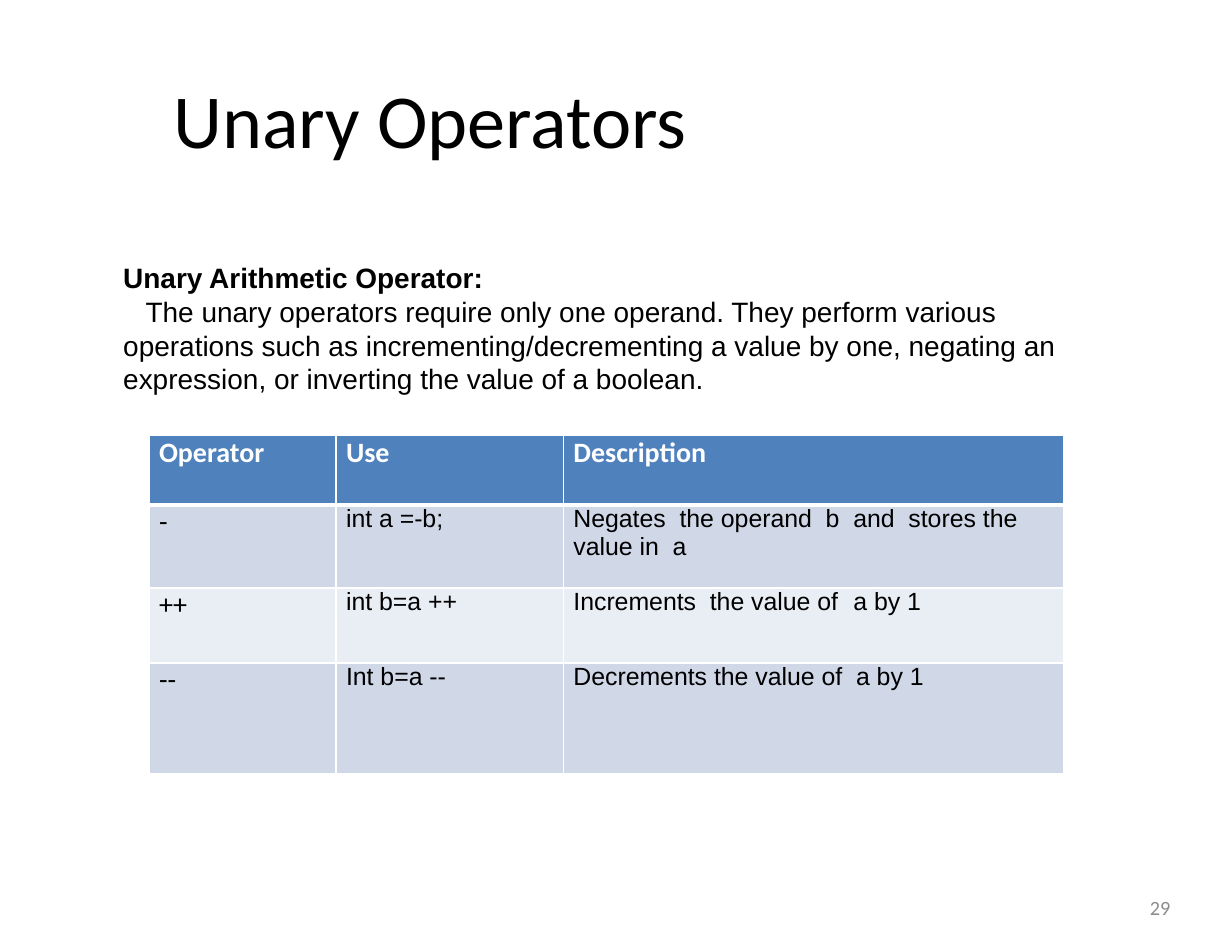
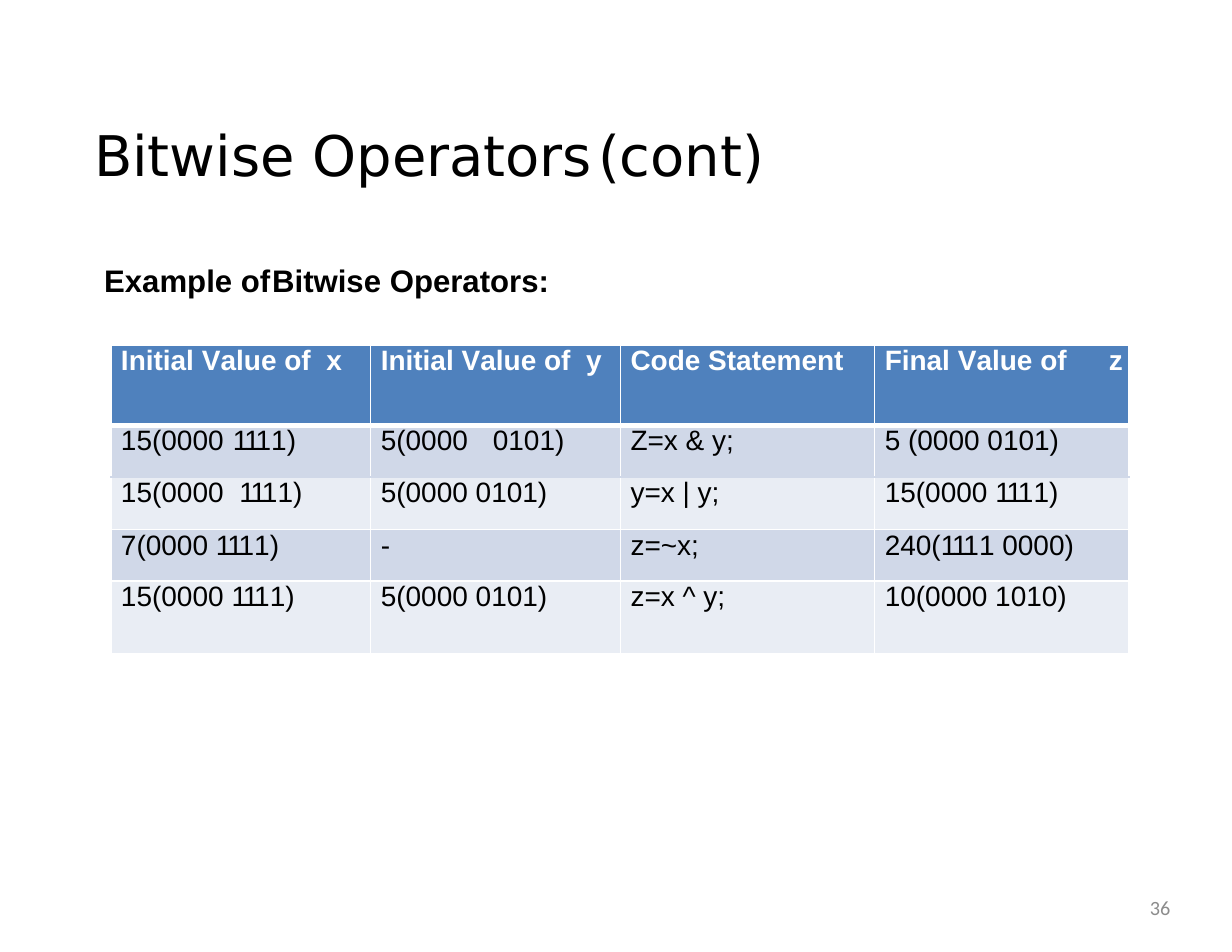
from dataclasses import dataclass

from lxml import etree
from pptx import Presentation
from pptx import util as u
from pptx.dml.color import RGBColor
from pptx.enum import text as t
from pptx.oxml.ns import qn

COLORS = {"ink": "000000", "white": "FFFFFF", "number": "8C8C8C",
          "header": "4F81BD", "odd": "D0D8E8", "even": "E9EDF4"}
KERNING = {"111": -1.4, "V": -1}  # character spacing in points
CELL_INDENT = 0.09


@dataclass(frozen=True)
class Style:
    size: float
    font: str = "Arial"
    color: str = "ink"
    bold: bool = False


@dataclass(frozen=True)
class Para:
    text: str
    style: Style
    indent: float = 0.01
    first: float = 0
    tab: float = 0
    align: t.PP_ALIGN = t.PP_ALIGN.LEFT


@dataclass(frozen=True)
class Box:
    left: float
    top: float
    width: float
    height: float
    paras: tuple[Para, ...]
    anchor: t.MSO_ANCHOR = t.MSO_ANCHOR.TOP


@dataclass(frozen=True)
class Grid:
    left: float
    top: float
    cols: tuple[float, ...]
    rows: tuple[float, ...]
    texts: tuple[tuple[str, ...], ...]
    header: Style
    columns: tuple[Style, ...]
    tabs: dict[tuple[int, int], float]
    rules: dict[int, tuple[str, float]]  # lines below given rows


@dataclass(frozen=True)
class Page:
    number: int
    boxes: tuple[Box, ...]
    grid: Grid


def split_kerned(text: str) -> list[tuple[str, float]]:
    """Split text into runs, each with its character spacing."""
    for part, spacing in KERNING.items():
        before, found, after = text.partition(part)
        if found:
            return [(before, 0), (found, spacing), (after, 0)]
    return [(text, 0)]


def write(p, para: Para) -> None:
    p.alignment = para.align
    pPr = p._p.get_or_add_pPr()
    pPr.set("marL", str(u.Inches(para.indent)))
    pPr.set("indent", str(u.Inches(para.first)))
    if para.tab:
        tabs = etree.SubElement(pPr, qn("a:tabLst"))
        etree.SubElement(tabs, qn("a:tab"), pos=str(u.Inches(para.tab)), algn="l")
    for text, spacing in split_kerned(para.text):
        if not text:
            continue
        r = p.add_run()
        r.text = text
        r.font.size = u.Pt(para.style.size)
        r.font.name = para.style.font
        r.font.bold = para.style.bold
        r.font.color.rgb = RGBColor.from_string(COLORS[para.style.color])
        if spacing:
            r._r.get_or_add_rPr().set("spc", str(round(spacing * 100)))


def clear_margins(frame) -> None:
    frame.margin_left = frame.margin_right = 0
    frame.margin_top = frame.margin_bottom = 0


def add_box(slide, box: Box) -> None:
    sp = slide.shapes.add_textbox(u.Inches(box.left), u.Inches(box.top),
                                  u.Inches(box.width), u.Inches(box.height))
    tf = sp.text_frame
    clear_margins(tf)
    tf.word_wrap = True
    tf.vertical_anchor = box.anchor
    for i, para in enumerate(box.paras):
        write(tf.add_paragraph() if i else tf.paragraphs[0], para)


def add_border(cell, side: str, color: str, width: float) -> None:
    ln = etree.SubElement(cell._tc.get_or_add_tcPr(), qn(f"a:ln{side}"),
                          w=str(u.Pt(width)))
    fill = etree.SubElement(ln, qn("a:solidFill"))
    etree.SubElement(fill, qn("a:srgbClr"), val=COLORS[color])


def add_grid(slide, grid: Grid) -> None:
    table = slide.shapes.add_table(
        len(grid.rows), len(grid.cols), u.Inches(grid.left), u.Inches(grid.top),
        u.Inches(sum(grid.cols)), u.Inches(sum(grid.rows))).table
    table.first_row = table.horz_banding = False
    for column, width in zip(table.columns, grid.cols):
        column.width = u.Inches(width)
    plain = ("white", 1.1)
    for i, (height, texts) in enumerate(zip(grid.rows, grid.texts)):
        table.rows[i].height = u.Inches(height)
        band = "header" if i == 0 else "odd" if i % 2 else "even"
        borders = {"L": plain, "R": plain, "T": grid.rules.get(i - 1, plain),
                   "B": grid.rules.get(i, plain)}
        for j, text in enumerate(texts):
            cell = table.cell(i, j)
            clear_margins(cell)
            for side, (color, width) in borders.items():
                add_border(cell, side, color, width)
            cell.fill.solid()
            cell.fill.fore_color.rgb = RGBColor.from_string(COLORS[band])
            style = grid.columns[j] if i else grid.header
            write(cell.text_frame.paragraphs[0],
                  Para(text, style, CELL_INDENT, tab=grid.tabs.get((i, j), 0)))


def number_box(number: int) -> Box:
    para = Para(str(number), Style(13, "Calibri", "number"), 0.03,
                align=t.PP_ALIGN.RIGHT)
    return Box(7.88, 7.88, 2.57, 0.45, (para,), t.MSO_ANCHOR.MIDDLE)


# Text styles
BODY = Style(18)
BODY_BOLD = Style(18, bold=True)
CELL_SMALL = Style(16)
HEADER_RULE = ("white", 3.1)

# Unary operators
UNARY = Page(
    29,
    (Box(0.55, 0.64, 9.9, 0.82,
         (Para("Unary Operators", Style(49, "Calibri"), 1),), t.MSO_ANCHOR.MIDDLE),
     Box(1.09, 2.33, 8.35, 1.18, (
         Para("Unary Arithmetic Operator:", BODY_BOLD),
         Para("The unary operators require only one operand. They perform various "
              "operations such as incrementing/decrementing a value by one, "
              "negating an expression, or inverting the value of a boolean.",
              BODY, first=0.2)))),
    Grid(1.33, 3.89, (1.67, 2.03, 4.47), (0.62, 0.74, 0.67, 0.99),
         (("Operator", "Use", "Description"),
          ("-", "int a =-b;",
           "Negates  the operand  b  and  stores the value in  a"),
          ("++", "int b=a ++", "Increments  the value of\ta by 1"),
          ("--", "Int b=a --", "Decrements the value of  a by 1")),
         Style(18, "Calibri", "white", True),
         (Style(18, "Calibri"), CELL_SMALL, CELL_SMALL),
         {(2, 2): 2.66}, {0: HEADER_RULE}))

# Bitwise operators
BITWISE = Page(
    36,
    (Box(0.83, 1.08, 6.17, 0.61,
         (Para("Bitwise Operators\t(cont)", Style(36, "DejaVu Sans"), tab=4.63),)),
     Box(0.92, 2.33, 4.08, 0.31,
         (Para("Example of\tBitwise Operators:", Style(20, bold=True), tab=1.65),))),
    Grid(0.99, 3.08, (2.32, 2.23, 2.27, 2.27), (0.72, 0.46, 0.47, 0.46, 0.65),
         (("Initial Value of  x", "Initial Value of  y", "Code Statement",
           "Final Value of\tz"),
          ("15(0000\t1111)", "5(0000\t0101)", "Z=x & y;", "5 (0000 0101)"),
          ("15(0000  1111)", "5(0000 0101)", "y=x | y;", "15(0000 1111)"),
          ("7(0000 1111)", "-", "z=~x;", "240(1111 0000)"),
          ("15(0000 1111)", "5(0000 0101)", "z=x ^ y;", "10(0000 1010)")),
         Style(18, color="white", bold=True), (BODY,) * 4,
         {(0, 3): 1.84, (1, 0): 1.22, (1, 1): 1.01},
         {0: HEADER_RULE, 1: ("odd", 1.73)}))


def main() -> None:
    prs = Presentation()
    prs.slide_width, prs.slide_height = u.Inches(11), u.Inches(8.5)
    for page in (UNARY, BITWISE):
        slide = prs.slides.add_slide(prs.slide_layouts[6])
        for box in (*page.boxes, number_box(page.number)):
            add_box(slide, box)
        add_grid(slide, page.grid)
    prs.save("out.pptx")


if __name__ == "__main__":
    main()
